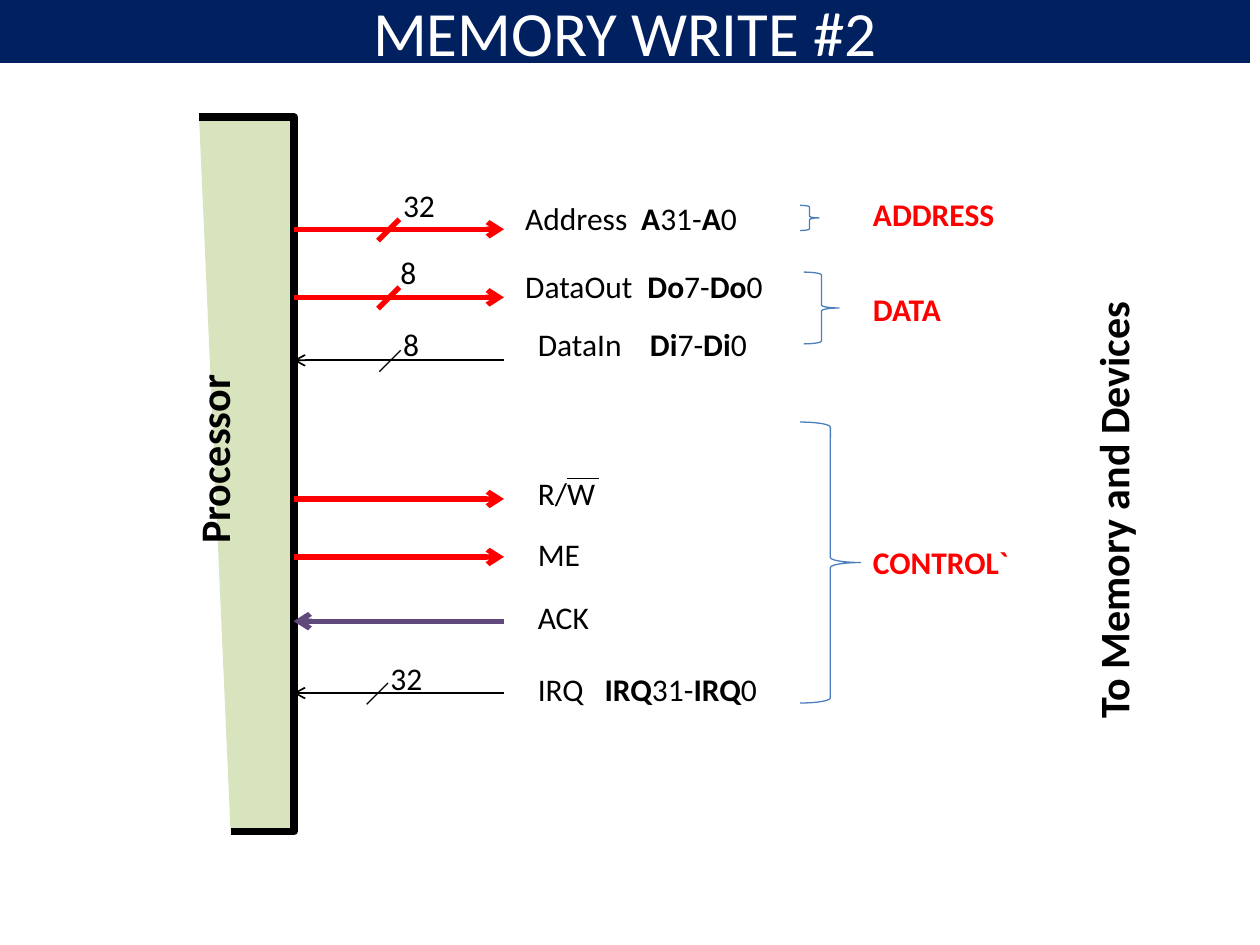
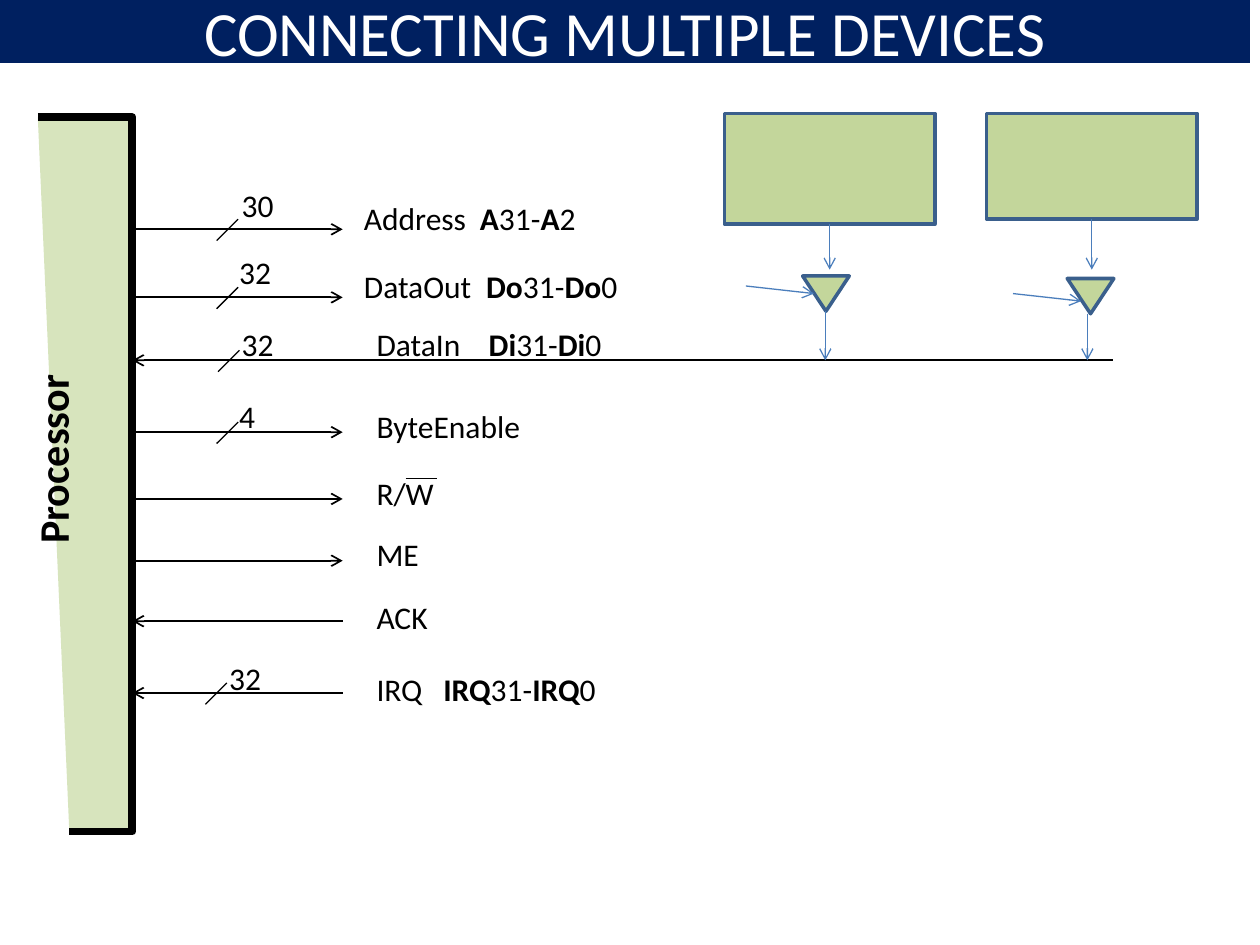
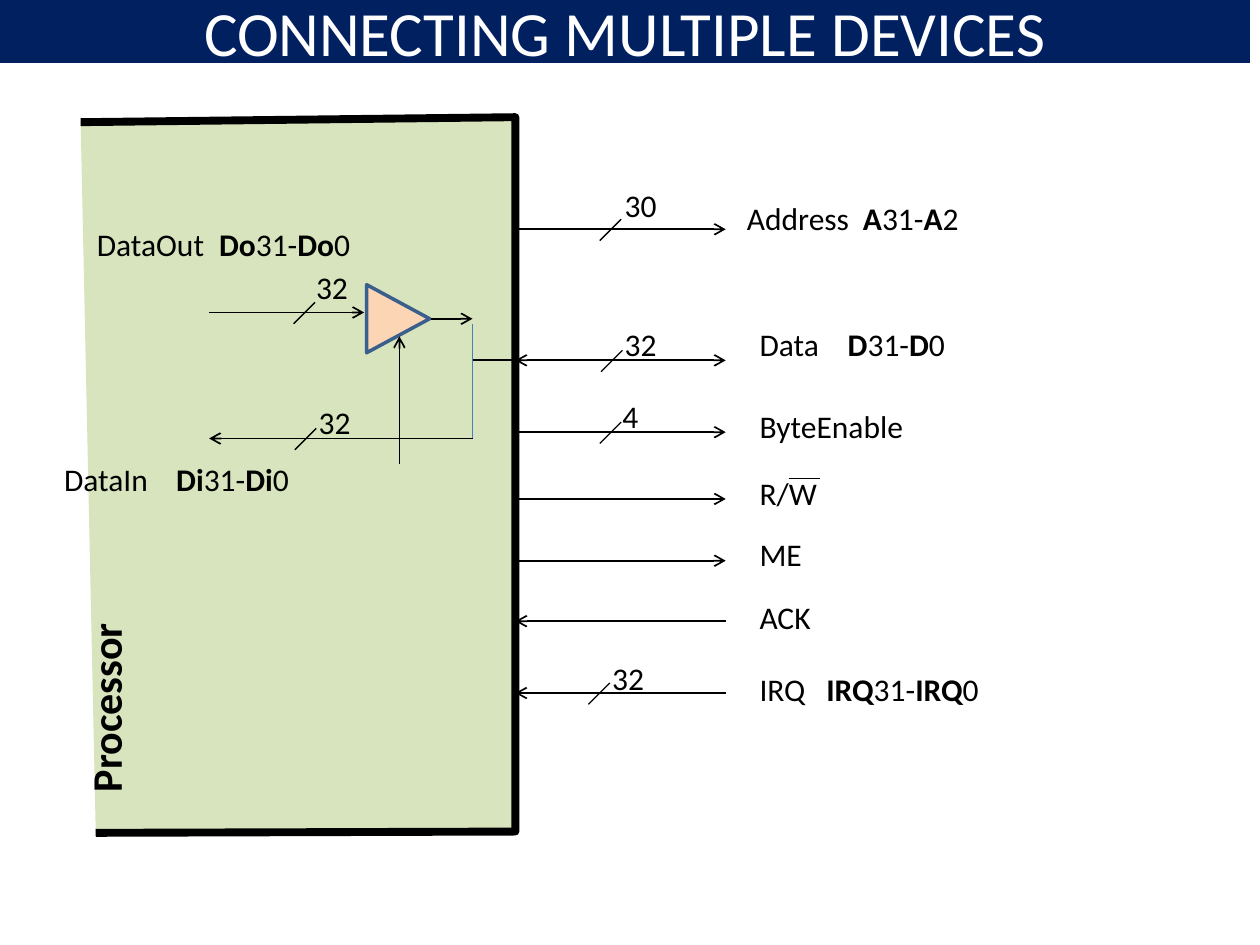
from dataclasses import dataclass, replace
from lxml import etree
from pptx import Presentation
from pptx.dml.color import RGBColor
from pptx.enum.shapes import MSO_CONNECTOR, MSO_SHAPE
from pptx.enum.text import MSO_ANCHOR, MSO_AUTO_SIZE, PP_ALIGN
from pptx.oxml.ns import qn
from pptx.util import Inches, Pt

COLORS = {
    "navy": "002060", "white": "FFFFFF", "black": "000000", "red": "FF0000",
    "purple": "604A7B", "blue": "4B7EBC", "edge": "3A5F8C",
    "pale": "D7E4BD", "green": "C3D69B", "peach": "FCD5B5",
}
FONT = "Calibri"
COLS, ROWS = 10, 7.5                # slide grid
CELL = Inches(1)                    # one column wide, one row high
WIRE = 1.67                         # length of a bus wire
TEXT_H = 0.4


@dataclass(frozen=True)
class Signal:
    """A bus line; horizontal offsets count from the start of its wire."""
    name: str
    y: float
    label_top: float
    label_dx: float = 1.84
    bus: str = ""                   # bold prefix of the bit names
    tab: float = 0                  # where the bit names begin
    slash_dx: float = 0.84
    count_dx: float = 0.75
    count_dy: float = -0.33
    inward: bool = False


ADDRESS = Signal("Address", 1.82, 1.53, 1.74, "A", 0.92, count_dx=0.77, count_dy=-0.39)
DATA_OUT = Signal("DataOut", 2.36, 2.07, 1.74, "Do", 0.97, count_dy=-0.4)
DATA_IN = Signal("DataIn", 2.86, 2.53, bus="Di", tab=0.89, slash_dx=0.85,
                 count_dx=0.77, inward=True)
DATA = replace(DATA_IN, name="Data", bus="D", tab=0.7)
BYTE_ENABLE = Signal("ByteEnable", 3.43, 3.18)
READ_WRITE = Signal("R/W", 3.96, 3.71)
ENABLE = Signal("ME", 4.45, 4.2)
ACK = Signal("ACK", 4.93, 4.7, inward=True)
IRQ = Signal("IRQ", 5.5, 5.27, bus="IRQ", tab=0.53, slash_dx=0.75,
             count_dx=0.67, count_dy=-0.32, inward=True)


def cells(*values):
    return [round(v * CELL) for v in values]


def rgb(name):
    return RGBColor.from_string(COLORS[name])


def set_font(font, size, color, bold=None):
    font.name, font.size, font.bold = FONT, Pt(size), bold
    font.color.rgb = rgb(color)


def style(sp, fill, color, width):
    sp.shadow.inherit = False
    if fill:
        sp.fill.solid()
        sp.fill.fore_color.rgb = rgb(fill)
    else:
        sp.fill.background()
    sp.line.color.rgb = rgb(color)
    sp.line.width = Pt(width)


def add_line(s, x1, y1, x2, y2, color="black", width=1.0, head=False, tail=False):
    c = s.shapes.add_connector(MSO_CONNECTOR.STRAIGHT, *cells(x1, y1, x2, y2))
    c.line.color.rgb = rgb(color)
    c.line.width = Pt(width)
    etree.SubElement(c._element.spPr, qn("a:effectLst"))
    ln = c.line._get_or_add_ln()
    for tag, wanted in (("a:headEnd", head), ("a:tailEnd", tail)):
        if wanted:
            etree.SubElement(ln, qn(tag), type="arrow")
    return c


def add_preset(s, kind, x, y, w, h, fill=None, color="edge", width=2.0, rotation=0):
    sp = s.shapes.add_shape(kind, *cells(x, y, w, h))
    style(sp, fill, color, width)
    sp.rotation = rotation
    return sp


def add_text(s, runs, x, y, w, h=TEXT_H, size=18, color="black", bold=None,
             tab=0, rotation=0):
    """Write (text, bold) runs; a tab stop sets the gap inside a label."""
    sp = s.shapes.add_textbox(*cells(x, y, w, h))
    sp.rotation = rotation
    tf = sp.text_frame
    tf.word_wrap = bool(tab)
    tf.auto_size = MSO_AUTO_SIZE.SHAPE_TO_FIT_TEXT
    p = tf.paragraphs[0]
    if tab:
        stops = etree.SubElement(p._p.get_or_add_pPr(), qn("a:tabLst"))
        etree.SubElement(stops, qn("a:tab"), pos=str(cells(tab)[0]), algn="l")
    set_font(p.font, size, color, bold)
    for text, strong in runs:
        r = p.add_run()
        r.text = text
        if strong:
            r.font.bold = True


def add_title(prs, text):
    s = prs.slides.add_slide(prs.slide_layouts[5])
    sp = s.shapes.title
    sp.left, sp.top, sp.width, sp.height = cells(0, 0, 9.92, 0.5)
    sp.fill.solid()
    sp.fill.fore_color.rgb = rgb("navy")
    tf = sp.text_frame
    tf.text = text
    tf.auto_size = MSO_AUTO_SIZE.NONE
    tf.vertical_anchor = MSO_ANCHOR.MIDDLE
    p = tf.paragraphs[0]
    p.alignment = PP_ALIGN.CENTER
    set_font(p.font, 36, "white")
    return s


def add_processor(s, outline, name_x, name_y):
    """Processor body, open on its left side, with its upright name."""
    points = [tuple(cells(*point)) for point in outline]
    builder = s.shapes.build_freeform(*points[0], scale=1.0)
    builder.add_line_segments(points[1:], close=False)
    style(builder.convert_to_shape(), "pale", "black", 4.5)
    add_text(s, [("Processor", True)], name_x, name_y, 1.83, 0.5, 24, rotation=270)


def slim_processor(s, edge):
    left = edge - 0.75
    add_processor(s, [(left, 0.93), (edge, 0.93), (edge, 6.6), (edge - 0.5, 6.6)],
                  edge - 1.55, 3.25)


def add_wire(s, sig, x, y, count="", color="black", length=WIRE, both=False):
    """Arrow of one signal, with its slash and number of lines."""
    width = 1 if color == "black" else 3
    ends = (x + length, x) if sig.inward else (x, x + length)
    add_line(s, ends[0], y, ends[1], y, color, width, head=both, tail=True)
    if count:
        slash = x + sig.slash_dx
        add_line(s, slash, y - 0.08, slash - 0.17, y + 0.09, color,
                 0.75 if color == "black" else width)
        add_text(s, [(count, False)], x + sig.count_dx, y + sig.count_dy,
                 0.14 + 0.17 * len(count), TEXT_H)


def add_label(s, sig, x, y, high=0, low=0):
    runs = [(sig.name, False)]
    width = 0.4 + 0.11 * len(sig.name)
    if sig.bus:
        runs += [("\t", False), (sig.bus, True), (f"{high}-", False),
                 (sig.bus, True), (str(low), False)]
        width = sig.tab + 1.5
    add_text(s, runs, x, y, width, tab=sig.tab)


def add_bus(s, edge, rows):
    """Signals leaving the processor's right edge."""
    for sig, high, low, options in rows:
        add_wire(s, sig, edge, sig.y, **options)
        add_label(s, sig, edge + sig.label_dx, sig.label_top, high, low)
        if sig is READ_WRITE:       # bar over W
            add_line(s, edge + 2.17, 3.8, edge + 2.42, 3.8, width=0.75)


def add_group(s, text, x, y, w, h, text_top):
    """Brace around signals and the group's name."""
    add_preset(s, MSO_SHAPE.RIGHT_BRACE, x, y, w, h, color="blue", width=0.75)
    add_text(s, [(text, True)], 6.83, text_top, 0.2 + 0.14 * len(text), color="red")


def add_device(s, x, h, gate_dx, gate_top, enable_dx, enable_dy):
    """Device whose output passes a gate down to the DataIn wire."""
    top, gate = 0.9, x + gate_dx
    arrow = {"color": "blue", "width": 0.75, "tail": True}
    box = add_preset(s, MSO_SHAPE.RECTANGLE, x, top, 1.67, h, "green")
    add_preset(s, MSO_SHAPE.ISOSCELES_TRIANGLE, gate, gate_top, 0.37, 0.28,
               "green", rotation=180)
    out = add_line(s, x + 0.835, top + h, x + 0.835, 2.14, **arrow)
    out.begin_connect(box, 2)
    add_line(s, x + 0.8, gate_top + 0.28, x + 0.8, DATA_IN.y, **arrow)
    enable_x, enable_y = gate + enable_dx, gate_top + enable_dy
    add_line(s, enable_x, enable_y, enable_x + 0.54, enable_y + 0.06, **arrow)


def add_data_port(s, x):
    """Inside of the processor: gated DataOut and DataIn share one port."""
    out_y, in_y, node = 2.48, 3.48, x + 2.09
    add_wire(s, DATA_OUT, x, out_y, "32", length=1.23)
    add_label(s, DATA_OUT, x - 0.99, 1.74, 31)
    add_wire(s, DATA_IN, x, in_y, "32", length=node - x)
    add_label(s, DATA_IN, x - 1.25, 3.6, 31)
    add_line(s, node, 2.57, node, in_y, "blue", 0.75)
    add_preset(s, MSO_SHAPE.ISOSCELES_TRIANGLE, x + 1.23, 2.28, 0.54, 0.5,
               "peach", rotation=90)
    add_line(s, x + 1.76, 2.53, node, 2.53, tail=True)
    add_line(s, node, DATA.y, node + 0.33, DATA.y)
    add_line(s, x + 1.51, 3.68, x + 1.51, 2.67, tail=True)


def memory_write_slide(prs):
    s = add_title(prs, "MEMORY WRITE #2")
    edge, red = 2.33, {"color": "red"}
    slim_processor(s, edge)
    add_bus(s, edge, [
        (ADDRESS, 31, 0, {"count": "32", **red}),
        (DATA_OUT, 7, 0, {"count": "8", **red}),
        (DATA_IN, 7, 0, {"count": "8"}),
        (READ_WRITE, 0, 0, red),
        (replace(ENABLE, y=4.42), 0, 0, red),
        (ACK, 0, 0, {"color": "purple"}),
        (IRQ, 31, 0, {"count": "32"}),
    ])
    add_group(s, "ADDRESS", 6.35, 1.63, 0.15, 0.2, 1.5)
    add_group(s, "DATA", 6.38, 2.16, 0.28, 0.57, 2.25)
    add_group(s, "CONTROL`", 6.35, 3.35, 0.48, 2.23, 4.26)
    add_text(s, [("To Memory and Devices", True)], 6.82, 3.54, 4.02, 0.5, 24,
             rotation=270)


CONTROL_ROWS = [(BYTE_ENABLE, 0, 0, {"count": "4"}), (READ_WRITE, 0, 0, {}),
                (ENABLE, 0, 0, {}), (ACK, 0, 0, {}), (IRQ, 31, 0, {"count": "32"})]
WORD_ADDRESS = (ADDRESS, 31, 2, {"count": "30"})


def input_devices_slide(prs):
    s = add_title(prs, "CONNECTING MULTIPLE DEVICES")
    edge = 1.05
    slim_processor(s, edge)
    add_bus(s, edge, [
        WORD_ADDRESS,
        (DATA_OUT, 31, 0, {"count": "32"}),
        (DATA_IN, 31, 0, {"count": "32", "length": 7.78}),
        *CONTROL_ROWS,
    ])
    add_device(s, 5.75, 0.88, 0.62, 2.19, -0.45, 0.08)
    add_device(s, 7.83, 0.84, 0.64, 2.21, -0.43, 0.12)


def shared_data_slide(prs):
    s = add_title(prs, "CONNECTING MULTIPLE DEVICES")
    edge = 4.09
    add_processor(s, [(0.64, 0.97), (edge, 0.93), (edge, 6.6), (0.76, 6.61)],
                  -0.08, 5.22)
    add_bus(s, edge, [
        WORD_ADDRESS,
        (DATA, 31, 0, {"count": "32", "both": True}),
        *CONTROL_ROWS,
    ])
    add_data_port(s, 1.66)


def main():
    prs = Presentation()
    prs.slide_width, prs.slide_height = cells(COLS, ROWS)
    memory_write_slide(prs)
    input_devices_slide(prs)
    shared_data_slide(prs)
    prs.save("out.pptx")


if __name__ == "__main__":
    main()
